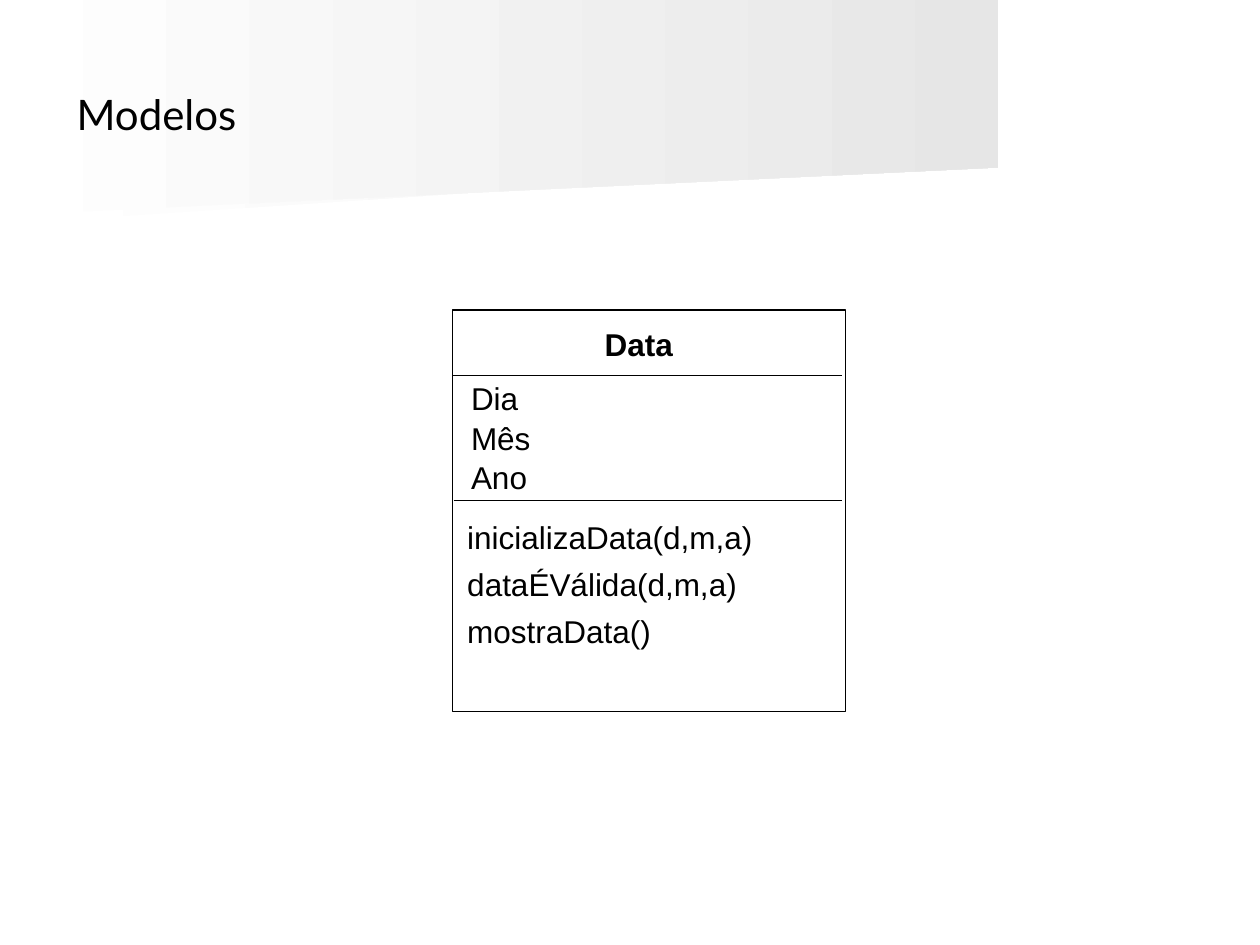
from lxml import etree
from pptx import Presentation
from pptx.dml.color import RGBColor
from pptx.enum.shapes import MSO_CONNECTOR, MSO_SHAPE
from pptx.enum.text import MSO_ANCHOR, PP_ALIGN
from pptx.oxml.ns import qn
from pptx.util import Inches, Pt

RECTANGLE = MSO_SHAPE.RECTANGLE
STRAIGHT = MSO_CONNECTOR.STRAIGHT
TOP, MIDDLE = MSO_ANCHOR.TOP, MSO_ANCHOR.MIDDLE
LEFT, CENTER = PP_ALIGN.LEFT, PP_ALIGN.CENTER

THEME = {
    "ink": RGBColor.from_string("000000"),
    "paper": RGBColor.from_string("FFFFFF"),
    "back band": RGBColor.from_string("F0F0F0"),
    "front band": RGBColor.from_string("E6E6E6"),
    "title font": "Lato",
    "class font": "Arial",
    "title size": Pt(24),
    "class size": Pt(18),
    "rule": Pt(0.75),
}

deck = Presentation()
deck.slide_width, deck.slide_height = Inches(10), Inches(7.5)
slide = deck.slides.add_slide(deck.slide_layouts[6])
shapes = slide.shapes


def place(*percents):
    """Turn alternating x and y percentages of the slide into lengths."""
    sides = (deck.slide_width, deck.slide_height)
    return [round(sides[i % 2] * share / 100) for i, share in enumerate(percents)]


def add_text(box, lines, font, size, bold=False, align=LEFT, anchor=TOP,
             wrap=True, gap=0, spacing=1.0):
    frame = shapes.add_textbox(*place(*box)).text_frame
    frame.word_wrap = wrap
    frame.vertical_anchor = anchor
    for i, line in enumerate(lines):
        paragraph = frame.paragraphs[0] if i == 0 else frame.add_paragraph()
        paragraph.alignment = align
        paragraph.line_spacing = spacing
        paragraph.space_before = Pt(gap if i else 0)
        run = paragraph.add_run()
        run.text = line
        run.font.name, run.font.size, run.font.bold = font, size, bold
        run.font.color.rgb = THEME["ink"]


# Slanted header bands, from back to front, corners in slide percentages
BANDS = [
    ("back band", [(77.8, 16.8), (0, 23.73), (0, 11.07), (77.9, 11.07), (77.8, 14)]),
    ("front band", [(79.2, 17.73), (0, 22.8), (0, 0), (79.2, 0)]),
]
for shade, corners in BANDS:
    points = [place(*corner) for corner in corners]
    outline = shapes.build_freeform(*points[0])
    outline.add_line_segments(points[1:], close=True)
    band = outline.convert_to_shape()
    band.shadow.inherit = False
    band.line.fill.background()
    band.fill.gradient()
    band.fill.gradient_angle = 0
    for stop, color, position in zip(
            band.fill.gradient_stops, (THEME["paper"], THEME[shade]), (0, 1)):
        stop.color.rgb, stop.position = color, position

# Title
add_text((5.1, 3.73, 90, 16.67), ["Modelos"], THEME["title font"],
         THEME["title size"], anchor=MIDDLE)

# Class frame
class_frame = shapes.add_shape(RECTANGLE, *place(35.9, 32.8, 31.2, 42.53))
class_frame.shadow.inherit = False
class_frame.fill.solid()
class_frame.fill.fore_color.rgb = THEME["paper"]
class_frame.line.color.rgb = THEME["ink"]
class_frame.line.width = THEME["rule"]

# Rules between name, attributes and methods
for start, height in ((35.9, 39.73), (36, 52.93)):
    divider = shapes.add_connector(STRAIGHT, *place(start, height, 66.8, height))
    divider.line.color.rgb = THEME["ink"]
    divider.line.width = THEME["rule"]
    etree.SubElement(divider.element.spPr, qn("a:effectLst"))

# Class name, methods and attributes
CLASS_PARTS = [
    ((43.2, 33.6, 15, 5.33), ["Data"], {"bold": True, "align": CENTER}),
    ((36.1, 54, 30.2, 15.07),
     ["inicializaData(d,m,a)", "dataÉVálida(d,m,a)", "mostraData()"], {"gap": 4.5}),
    ((36.4, 39.33, 6.7, 13.33), ["Dia", "Mês", "Ano"], {"wrap": False}),
]
for box, lines, style in CLASS_PARTS:
    add_text(box, lines, THEME["class font"], THEME["class size"],
             spacing=1.04, **style)

deck.save("out.pptx")
